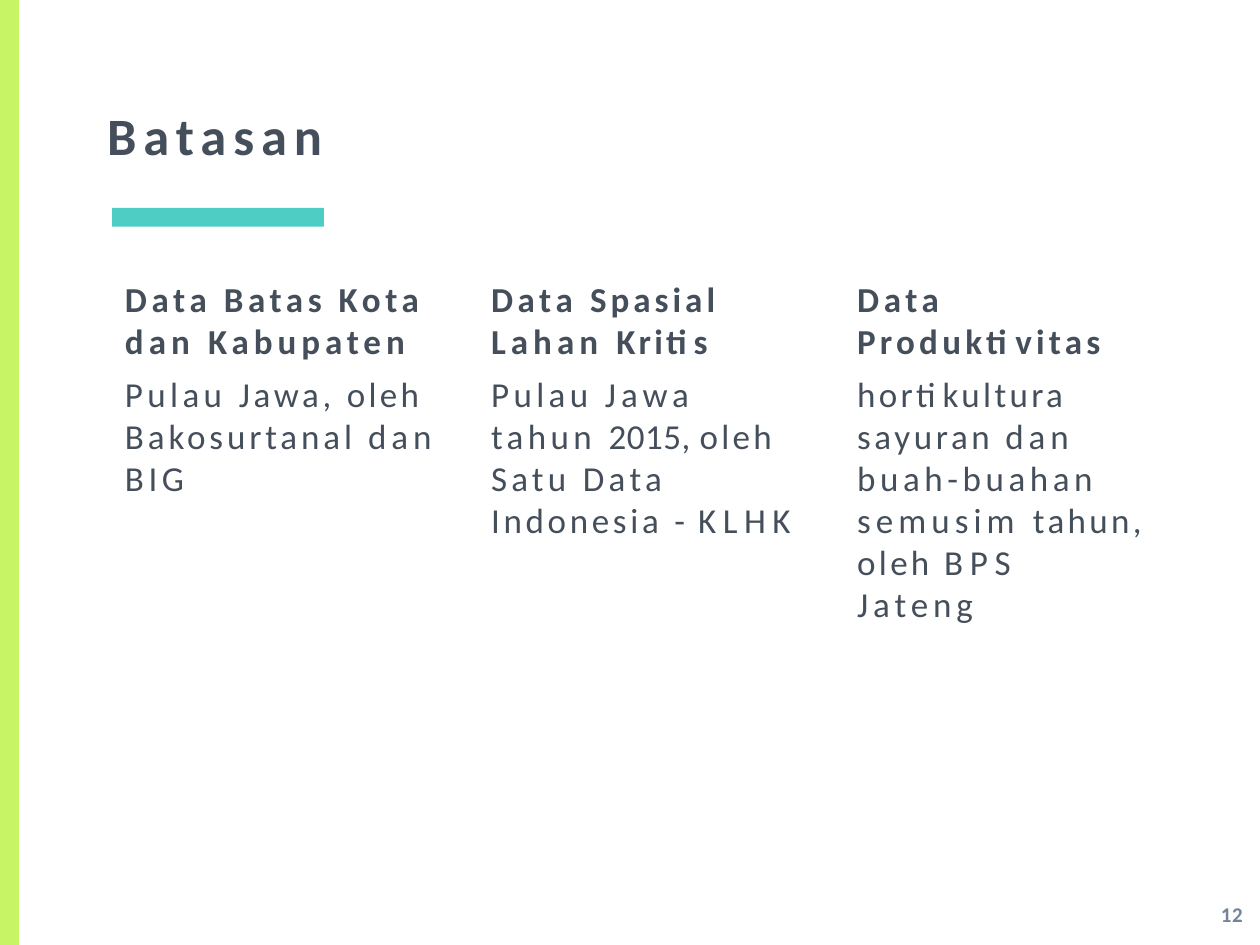
from dataclasses import dataclass

from pptx import Presentation
from pptx import util as u
from pptx.dml.color import RGBColor
from pptx.enum import shapes, text


@dataclass(frozen=True)
class Theme:
    font: str = "Calibri"
    ink: str = "454F5B"
    muted: str = "738498"
    teal: str = "4ECDC4"
    lime: str = "C7F464"
    title_size: int = 30
    body_size: int = 20
    number_size: int = 12


class SlideBuilder:
    def __init__(self, slide, theme):
        self.slide = slide
        self.theme = theme

    def bar(self, left, top, width, height, color):
        bar = self.slide.shapes.add_shape(
            shapes.MSO_SHAPE.RECTANGLE,
            u.Cm(left), u.Cm(top), u.Cm(width), u.Cm(height))
        bar.shadow.inherit = False
        bar.fill.solid()
        bar.fill.fore_color.rgb = RGBColor.from_string(color)
        bar.line.fill.background()

    def frame(self, left, top, width, height, inset=0.03):
        frame = self.slide.shapes.add_textbox(
            u.Cm(left), u.Cm(top), u.Cm(width), u.Cm(height)).text_frame
        frame.word_wrap = True
        frame.vertical_anchor = text.MSO_ANCHOR.TOP
        frame.margin_left = u.Cm(inset)
        frame.margin_top = u.Cm(0.06)
        frame.margin_right = frame.margin_bottom = 0
        return frame

    def runs(self, paragraph, pieces, size, color, bold):
        for wording, spacing in pieces:
            if wording == "\n":
                paragraph.add_line_break()
                continue
            run = paragraph.add_run()
            run.text = wording
            run.font.name = self.theme.font
            run.font.size = u.Pt(size)
            run.font.bold = bold
            run.font.color.rgb = RGBColor.from_string(color)
            run.font._element.set("spc", str(round(spacing * 100)))

    def title(self, wording):
        frame = self.frame(2.13, 2.01, 4.8, 1.35)
        self.runs(frame.paragraphs[0], [(wording, 4)],
                  self.theme.title_size, self.theme.ink, True)

    def page_number(self, wording):
        frame = self.frame(24.46, 18.11, 0.8, 0.58, inset=0.15)
        self.runs(frame.paragraphs[0], [(wording, 0.4)],
                  self.theme.number_size, self.theme.muted, True)

    def column(self, left, width, height, heading, detail):
        frame = self.frame(left, 5.54, width, height)
        self.runs(frame.paragraphs[0], heading,
                  self.theme.body_size, self.theme.ink, True)
        paragraph = frame.add_paragraph()
        paragraph.space_before = u.Pt(6)
        self.runs(paragraph, detail,
                  self.theme.body_size, self.theme.ink, False)


LIMITATIONS = [
    (6.32, 4.52,
     [("Data Batas Kota ", 2.6), ("dan ", 2.9), ("Kabupaten", 2.8)],
     [("Pulau ", 2.5), ("Jawa, ", 2.1), ("oleh ", 1.9),
      ("Bakosurtanal ", 2.2), ("dan ", 2.8), ("BIG", 2.6)]),
    (6.45, 5.36,
     [("Data ", 2.6), ("Spasial ", 2.3), ("Lahan ", 2.9), ("Kritis", 1.9)],
     [("Pulau ", 2.5), ("Jawa ", 2.8), ("tahun ", 2.5), ("2015, ", 0.3),
      ("oleh ", 1.9), ("Satu ", 2.4), ("Data ", 2.5), ("Indonesia ", 2.1),
      ("- ", 1.5), ("KLHK", 3.7)]),
    (5.89, 6.2,
     [("Data ", 2.6), ("Produktivitas", 2.4)],
     [("hortikultura ", 1.9), ("sayuran ", 2.1), ("dan ", 2.8),
      ("buah-buahan ", 2.6), ("semusim ", 2.9), ("tahun, oleh ", 1.9),
      ("BPS", 3.8), ("\n", 0), ("Jateng", 2.8)]),
]
FIRST_COLUMN, COLUMN_PITCH = 2.49, 7.38


def main():
    deck = Presentation()
    deck.slide_width, deck.slide_height = u.Cm(25.4), u.Cm(19.05)
    theme = Theme()
    builder = SlideBuilder(deck.slides.add_slide(deck.slide_layouts[6]), theme)

    builder.bar(2.26, 4.19, 4.27, 0.38, theme.teal)
    builder.bar(0, 0, 0.38, 19.05, theme.lime)
    builder.title("Batasan")
    for index, limitation in enumerate(LIMITATIONS):
        builder.column(FIRST_COLUMN + index * COLUMN_PITCH, *limitation)
    builder.page_number("12")
    deck.save("out.pptx")


if __name__ == "__main__":
    main()
